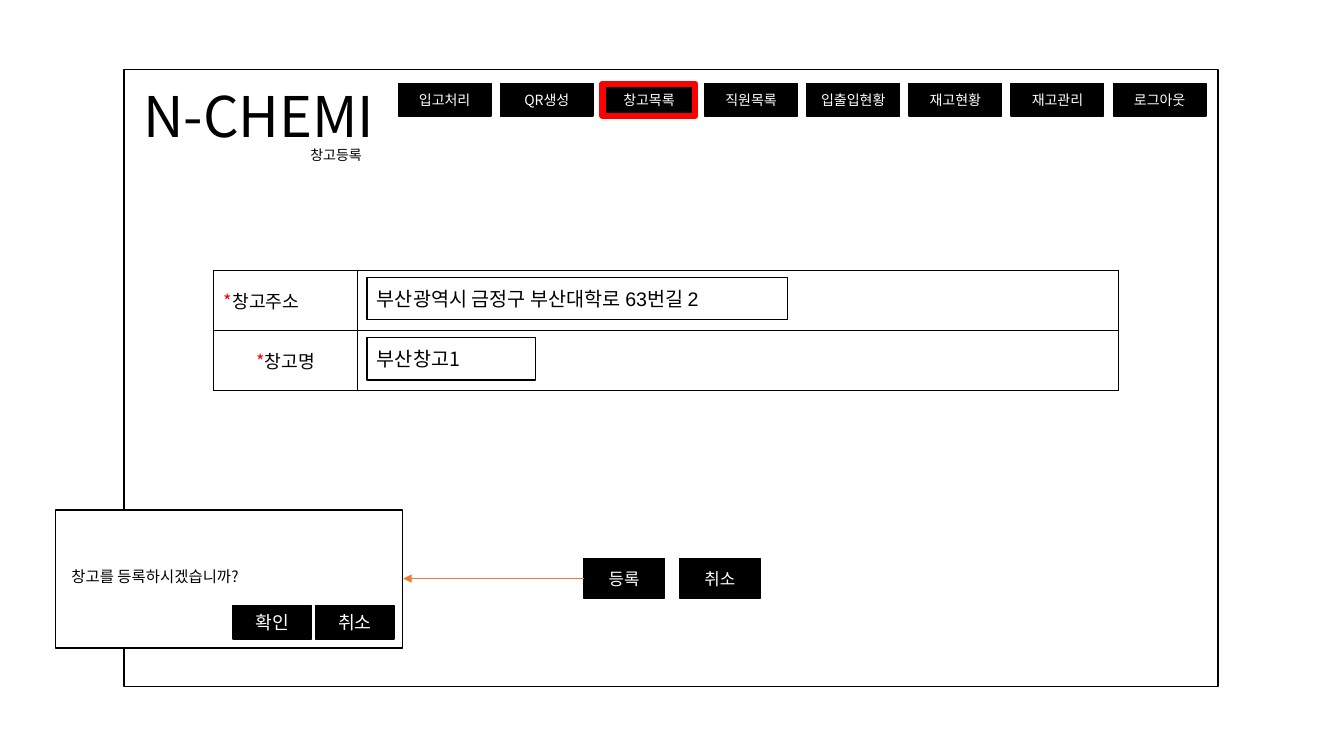
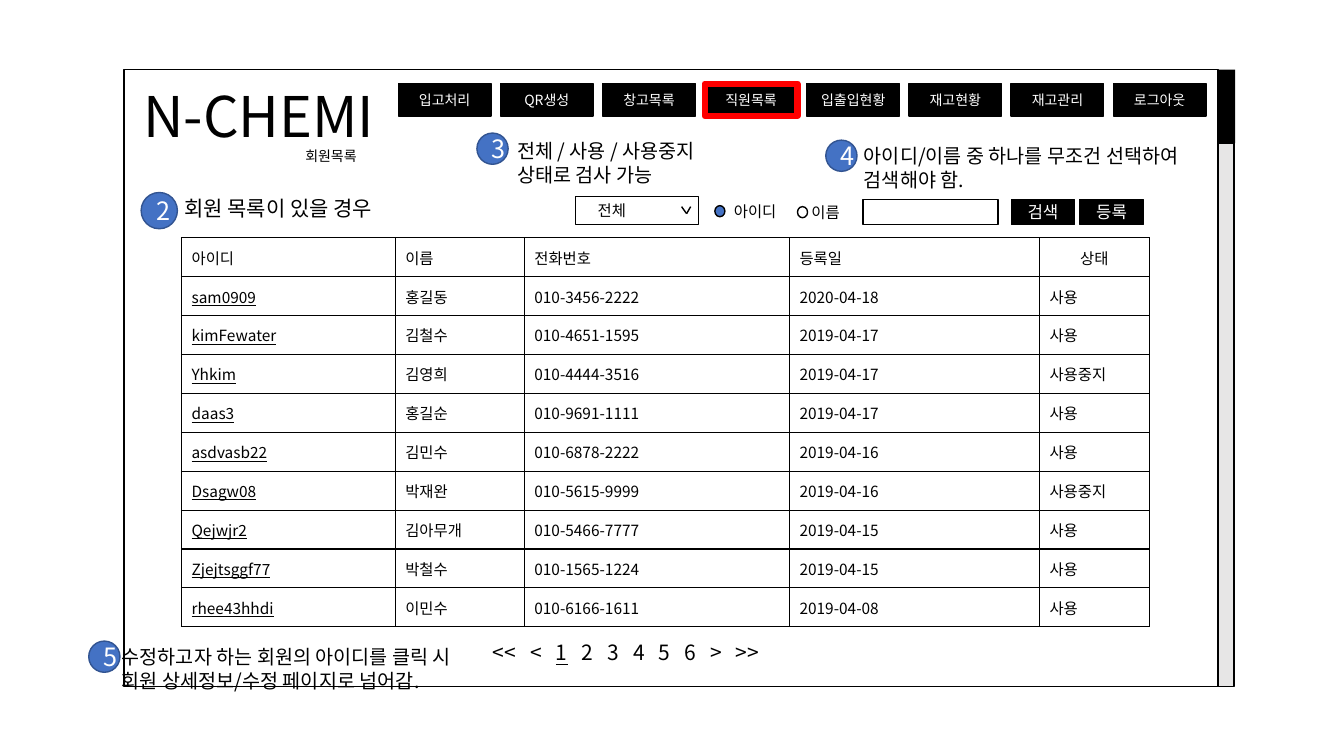
from pptx import Presentation
from pptx.dml.color import RGBColor
from pptx.enum.shapes import MSO_CONNECTOR as Link, MSO_SHAPE as Form
from pptx.enum.text import MSO_ANCHOR as Anchor, MSO_AUTO_SIZE as Fit, PP_ALIGN as Align
from pptx.oxml import parse_xml
from pptx.oxml.ns import nsdecls
from pptx.util import Inches, Pt
from lxml import etree

# Shared look
FONT = "Noto Sans CJK KR"
BLACK, WHITE, RED, BLUE = "000000", "FFFFFF", "FF0000", "4472C4"
NAVY, GREY, ORANGE = "325491", "E7E6E6", "ED7D31"
hue = RGBColor.from_string
NS = nsdecls("a")

# The slide is a grid of 75 rows; columns are as wide as rows are high
deck = Presentation()
deck.slide_width, deck.slide_height = Inches(13.33), Inches(7.5)
UNIT = deck.slide_height / 75


def write(frame, runs, size, ink=BLACK, align=Align.LEFT, font=FONT):
    """Add runs to the first paragraph: plain text or (text, ink, underline)."""
    para = frame.paragraphs[0]
    para.alignment = align
    for item in [runs] if isinstance(runs, str) else runs:
        text, tint, under = (item, ink, False) if isinstance(item, str) else item
        run = para.add_run()
        run.text = text
        run.font.name, run.font.size = font, Pt(size)
        run.font.color.rgb = hue(tint)
        run.font.underline = under
        run.font._element.find("{*}latin").addnext(
            parse_xml(f'<a:ea {NS} typeface="{FONT}"/>'))


def box(page, at, runs="", size=10, fill=BLACK, line=BLACK, width=1, ink=WHITE,
        align=Align.CENTER, form=Form.RECTANGLE, wrap=True, font=FONT):
    """Draw a shape, or a plain text box when form is None."""
    place = [round(n * UNIT) for n in at]
    if form is None:
        shape = page.shapes.add_textbox(*place)
        ink, align = BLACK, Align.LEFT
    else:
        shape = page.shapes.add_shape(form, *place)
        shape.shadow.inherit = False
        if fill:
            shape.fill.solid()
            shape.fill.fore_color.rgb = hue(fill)
        else:
            shape.fill.background()
        if line:
            shape.line.color.rgb = hue(line)
            shape.line.width = Pt(width)
        else:
            shape.line.fill.background()
        shape.text_frame.vertical_anchor = Anchor.MIDDLE
    frame = shape.text_frame
    frame.word_wrap = wrap
    frame.auto_size = Fit.NONE if wrap else Fit.SHAPE_TO_FIT_TEXT
    if runs:
        write(frame, runs, size, ink, align, font)
    return shape


# Window frame, title and menu of both slides
menu = ["입고처리", "QR생성", "창고목록", "직원목록",
        "입출입현황", "재고현황", "재고관리", "로그아웃"]
pages = []
for sub, left, top, hot in [("창고등록", 29.8, 14, 2), ("회원목록", 29.3, 14.1, 3)]:
    page = deck.slides.add_slide(deck.slide_layouts[5])
    pages.append(page)
    box(page, (12.3, 6.9, 108.5, 61.2), fill=None)
    title = page.shapes.title
    title.left, title.top, title.width, title.height = [
        round(n * UNIT) for n in (13.2, 7.6, 26.2, 7.7)]
    title.text_frame.vertical_anchor = Anchor.TOP
    title.text_frame.auto_size = Fit.NONE
    write(title.text_frame, "N-CHEMI", 40)
    box(page, (left, top, 7.6, 2.7), sub, form=None, wrap=False)
    order = [i for i in range(len(menu)) if i != hot] + [hot]
    for i in order:
        box(page, (39.5 + 10.13 * i, 8.3, 9.2, 3.2), menu[i],
            line=RED if i == hot else BLACK, width=4.5 if i == hot else 1)
form, crew = pages

# Tables: page, place, column widths, row height, text size, rows
fields = [[[("*", RED, False), "창고주소"], ""],
          [[("*", RED, False), "창고명"], ""]]
people = [
    ("sam0909", "홍길동", "010-3456-2222", "2020-04-18", "사용"),
    ("kimFewater", "김철수", "010-4651-1595", "2019-04-17", "사용"),
    ("Yhkim", "김영희", "010-4444-3516", "2019-04-17", "사용중지"),
    ("daas3", "홍길순", "010-9691-1111", "2019-04-17", "사용"),
    ("asdvasb22", "김민수", "010-6878-2222", "2019-04-16", "사용"),
    ("Dsagw08", "박재완", "010-5615-9999", "2019-04-16", "사용중지"),
    ("Qejwjr2", "김아무개", "010-5466-7777", "2019-04-15", "사용"),
    ("Zjejtsggf77", "박철수", "010-1565-1224", "2019-04-15", "사용"),
    ("rhee43hhdi", "이민수", "010-6166-1611", "2019-04-08", "사용"),
]
members = [["아이디", "이름", "전화번호", "등록일", "상태"]]
members += [[[(who, BLACK, True)], *rest] for who, *rest in people]
tables = [
    (form, (21.2, 26.8), (14.25, 75.45), 5.98, 13, fields, (1, 0)),
    (crew, (18, 23.6), (21.2, 12.8, 26.3, 24.8, 10.9), 3.86, 11, members, (0, 4)),
]
for page, (left, top), cols, high, size, rows, mid in tables:
    table = page.shapes.add_table(
        len(rows), len(cols), round(left * UNIT), round(top * UNIT),
        round(sum(cols) * UNIT), round(high * len(rows) * UNIT)).table
    table.first_row = table.horz_banding = False
    for col, wide in zip(table.columns, cols):
        col.width = round(wide * UNIT)
    for r, row in enumerate(rows):
        table.rows[r].height = round(high * UNIT)
        for c, runs in enumerate(row):
            cell = table.cell(r, c)
            cell.fill.solid()
            cell.fill.fore_color.rgb = hue(WHITE)
            cell.vertical_anchor = Anchor.MIDDLE
            if runs:
                write(cell.text_frame, runs, size,
                      align=Align.CENTER if (r, c) == mid else Align.LEFT)
            for i, side in enumerate("LRTB"):
                cell._tc.get_or_add_tcPr().insert(i, parse_xml(
                    f'<a:ln{side} {NS} w="12700"><a:solidFill>'
                    f'<a:srgbClr val="{BLACK}"/></a:solidFill></a:ln{side}>'))

# Form slide: inputs, buttons and confirm dialog
box(form, (36.4, 27.5, 41.7, 4.2), "부산광역시 금정구 부산대학로 63번길 2", 14,
    WHITE, ink=BLACK, align=Align.JUSTIFY, font="Arial")
box(form, (36.4, 33.5, 16.7, 4.2), "부산창고1", 14, WHITE, ink=BLACK, align=Align.LEFT)
for i, text in enumerate(["등록", "취소"]):
    box(form, (57.9 + 9.5 * i, 55.4, 8, 4), text, 12)
box(form, (5.5, 50.6, 34.4, 13.7), fill=WHITE)
box(form, (6.1, 55.8, 20.8, 2.9), "창고를 등록하시겠습니까?", 11, form=None, wrap=False)
for i, text in enumerate(["확인", "취소"]):
    box(form, (23.1 + 8.2 * i, 60.1, 7.8, 3.3), text, 13)

# List slide: scroll bar
box(crew, (120.8, 14.2, 1.6, 53.9), fill=GREY)
box(crew, (120.8, 6.9, 1.7, 7.3), line=None)

# List slide: numbered notes
notes = [
    ("2", (14, 19.1, 3.6), (17.3, 18.9, 30, 3.5), 15, "회원 목록이 있을 경우"),
    ("3", (47.3, 13.2, 3.1), (50.3, 13.3, 22.6, 5.9), 14,
     "전체 / 사용 / 사용중지 상태로 검사 가능"),
    ("4", (81.9, 13.9, 3.1), (84.7, 13.8, 36.8, 5.7), 14,
     "아이디/이름 중 하나를 무조건 선택하여 검색해야 함."),
    ("5", (8.8, 63.6, 3.1), (11.1, 63.5, 37.4, 5.7), 14,
     "수정하고자 하는 회원의 아이디를 클릭 시 회원 상세정보/수정 페이지로 넘어감."),
]
for mark, (left, top, wide), at, size, text in notes:
    box(crew, at, text, size, form=None)
    box(crew, (left, top, wide, wide), mark, 18, BLUE, NAVY, form=Form.OVAL)

# List slide: search bar
box(crew, (57.1, 19.5, 12.2, 2.8), fill=WHITE)
box(crew, (58.3, 19.5, 13.1, 2.9), "전체", 11, form=None)
for left, top, fill, gap, text in [(70.9, 20.4, BLUE, 0.9, "아이디"),
                                   (79.1, 20.5, WHITE, 0.4, "이름")]:
    box(crew, (left, top, 1, 1.1), fill=fill, form=Form.OVAL)
    box(crew, (left + gap, top - 0.8, 9.2, 2.9), text, 11, form=None)
box(crew, (85.6, 19.8, 13.4, 2.5), fill=WHITE)
for i, text in enumerate(["검색", "등록"]):
    box(crew, (100.3 + 6.8 * i, 19.8, 6.3, 2.5), text, 12)

# List slide: page numbers on tab stops
steps = ["<<", "<", "1", "2", "3", "4", "5", "6", ">", ">>"]
runs = []
for i, step in enumerate(steps):
    runs += ["\t"] if i else []
    runs.append((step, BLACK, step == "1"))
pager = box(crew, (47.9, 63, 37.7, 3.5), runs, 15, form=None)
props = pager.text_frame.paragraphs[0]._p.get_or_add_pPr()
stops = etree.SubElement(props, props.tag.replace("pPr", "tabLst"))
for i in range(len(steps) - 1):
    stops.append(parse_xml(
        f'<a:tab {NS} pos="{round((3.7 + 2.55 * i) * UNIT)}" algn="l"/>'))

# Lines: arrow to the dialog and the chevron of the drop-down
for page, ends, tint, width, head in [
    (form, (57.9, 57.4, 40, 57.4), ORANGE, 0.5, True),
    (crew, (67.6, 20.5, 68.1, 21.2), BLACK, 1, False),
    (crew, (68.5, 20.5, 68.1, 21.2), BLACK, 1, False),
]:
    link = page.shapes.add_connector(Link.STRAIGHT, *[round(n * UNIT) for n in ends])
    link.line.color.rgb = hue(tint)
    link.line.width = Pt(width)
    if head:
        link.line._get_or_add_ln().append(parse_xml(f'<a:tailEnd {NS} type="triangle"/>'))
    link._element.spPr.append(parse_xml(f"<a:effectLst {NS}/>"))

deck.save("out.pptx")
